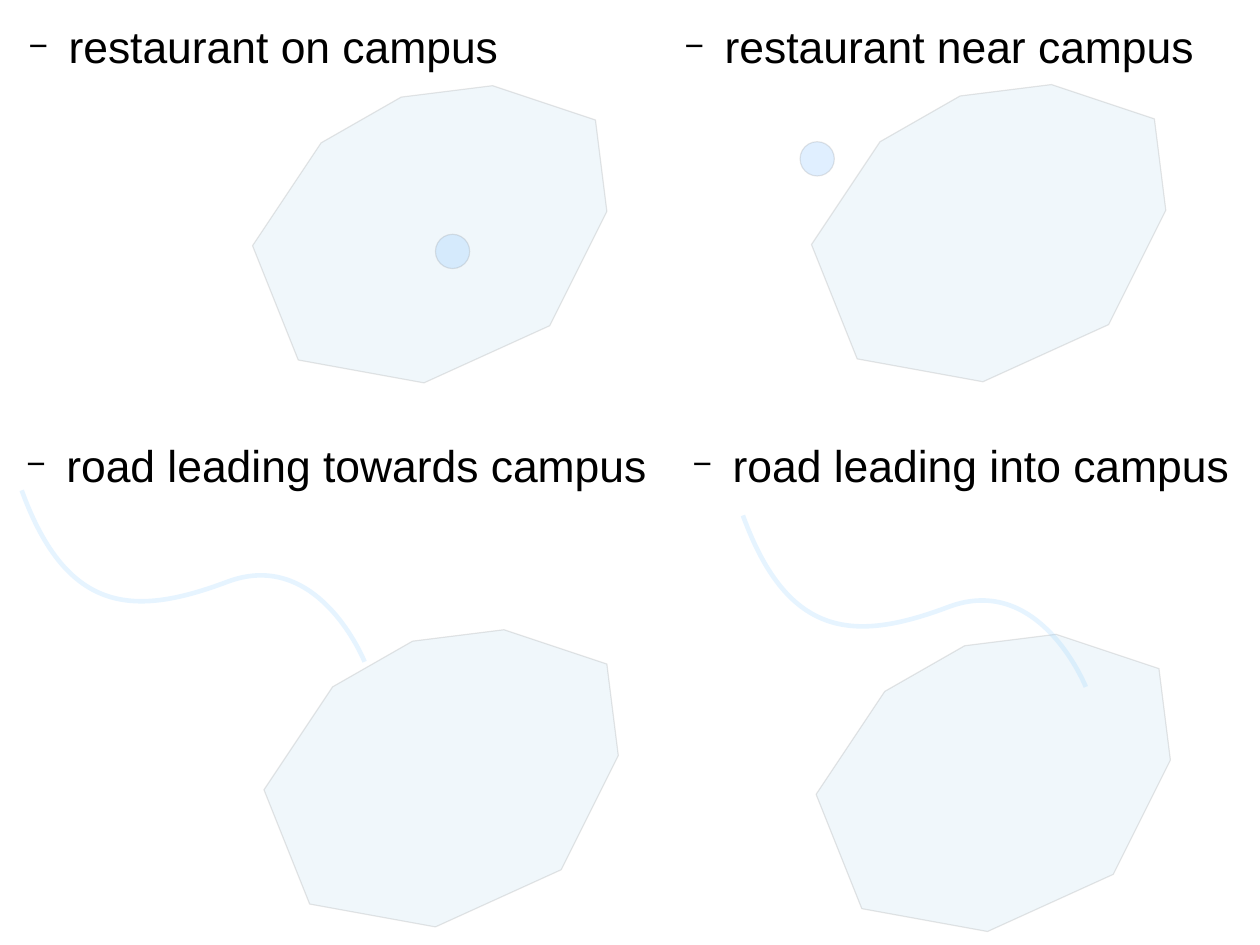
from lxml import etree
from pptx import Presentation
from pptx.dml.color import RGBColor
from pptx.enum.shapes import MSO_SHAPE
from pptx.enum.text import MSO_ANCHOR, MSO_AUTO_SIZE, PP_ALIGN
from pptx.oxml.ns import qn
from pptx.util import Cm, Inches, Pt

OVAL = MSO_SHAPE.OVAL
TOP = MSO_ANCHOR.TOP
NO_AUTOFIT = MSO_AUTO_SIZE.NONE
LEFT = PP_ALIGN.LEFT

BLACK = RGBColor(0x00, 0x00, 0x00)
GREY = RGBColor(0x80, 0x80, 0x80)
CAMPUS_BLUE = RGBColor(0xCF, 0xE7, 0xF5)
RESTAURANT_BLUE = RGBColor(0x99, 0xCC, 0xFF)
ROAD_BLUE = RGBColor(0x83, 0xCA, 0xFF)

SLIDE_WIDTH, SLIDE_HEIGHT = Cm(28), Cm(21)
# One grid column or row is a tenth of an inch.
GRID = Inches(0.1)
COMPARISON_LAYOUT = 4

CAMPUS_OUTLINE = [(13, 1), (6, 5), (0, 14), (4, 24), (15, 26),
                  (26, 21), (31, 11), (30, 3), (21, 0)]
# Start point, then two control points and an end point for each bend.
ROAD_COURSE = [(0, 0), (4, 11), (10, 11), (18, 8), (26, 5), (30, 15), (30, 15)]

CAPTIONS = [
    ("restaurant on campus", 2.5, 1.7, 56),
    ("restaurant near campus", 59.9, 1.7, 49),
    ("road leading towards campus", 2.3, 38.3, 56),
    ("road leading into campus", 60.6, 38.3, 49),
]
CAMPUSES = [(22.1, 7.5), (71, 7.4), (23.1, 55.1), (71.4, 55.5)]
RESTAURANTS = [(38.1, 20.5), (70, 12.4)]
ROADS = [(1.9, 42.9), (65, 45.1)]


def grid(count):
    return round(count * GRID)


def write_text(frame, text, size=28, font="Arial", color=BLACK, bold=False,
               bullet="−", bullet_percent=75, indent=3.5, space_after=11.3):
    """Write one bulleted paragraph with a hanging indent in grid columns."""
    paragraph = frame.paragraphs[0]
    paragraph.text = text
    properties = paragraph._p.get_or_add_pPr()
    properties.set("marL", str(grid(indent)))
    properties.set("indent", str(-grid(indent)))
    bullet_color = etree.SubElement(properties, qn("a:buClr"))
    etree.SubElement(bullet_color, qn("a:srgbClr"), val=str(color))
    etree.SubElement(properties, qn("a:buSzPct"), val=str(bullet_percent * 1000))
    etree.SubElement(properties, qn("a:buFont"), typeface=font)
    etree.SubElement(properties, qn("a:buChar"), char=bullet)
    paragraph.alignment = LEFT
    paragraph.space_before = Pt(0)
    paragraph.space_after = Pt(space_after)
    run_font = paragraph.runs[0].font
    run_font.name, run_font.size, run_font.bold = font, Pt(size), bold
    run_font.color.rgb = color


class CampusSlide:
    fill_opacity = 30
    line_opacity = 20

    def __init__(self, deck):
        layout = deck.slide_layouts[COMPARISON_LAYOUT]
        self.slide = deck.slides.add_slide(layout)
        self.shapes = self.slide.shapes
        title = self.shapes.title._element
        title.getparent().remove(title)
        self.caption_slots = iter(list(self.slide.placeholders))

    def caption(self, text, col, row, cols, rows=5.3):
        slot = next(self.caption_slots)
        slot.left, slot.top = grid(col), grid(row)
        slot.width, slot.height = grid(cols), grid(rows)
        frame = slot.text_frame
        frame.margin_left = frame.margin_right = 0
        frame.margin_top = frame.margin_bottom = 0
        frame.vertical_anchor = TOP
        frame.auto_size = NO_AUTOFIT
        frame.word_wrap = True
        write_text(frame, text)

    def campus(self, col, row):
        self.paint(self.trace(CAMPUS_OUTLINE, col, row, close=True), CAMPUS_BLUE)

    def restaurant(self, col, row, size=3):
        dot = self.shapes.add_shape(OVAL, grid(col), grid(row), grid(size), grid(size))
        self.paint(dot, RESTAURANT_BLUE)

    def road(self, col, row):
        road = self.trace(ROAD_COURSE, col, row, close=False)
        self.bend(road)
        self.paint(road, None, ROAD_BLUE, 2.89)

    def trace(self, points, col, row, close):
        builder = self.shapes.build_freeform(*points[0], scale=GRID)
        builder.add_line_segments(points[1:], close=close)
        return builder.convert_to_shape(grid(col), grid(row))

    def bend(self, shape):
        """Turn every three straight segments into one cubic curve."""
        segments = list(shape._element.iter(qn("a:lnTo")))
        outline = segments[0].getparent()
        for first in range(0, len(segments), 3):
            curve = etree.SubElement(outline, qn("a:cubicBezTo"))
            for segment in segments[first:first + 3]:
                curve.append(segment[0])
                outline.remove(segment)

    def paint(self, shape, fill, line=GREY, width=0):
        shape.shadow.inherit = False
        shape.line.color.rgb = line
        shape.line.width = Pt(width)
        properties = shape._element.spPr
        self.fade(properties.find(qn("a:ln")), self.line_opacity)
        if fill is None:
            shape.fill.background()
        else:
            shape.fill.solid()
            shape.fill.fore_color.rgb = fill
            self.fade(properties, self.fill_opacity)

    def fade(self, parent, opacity):
        color = parent.find(qn("a:solidFill")).find(qn("a:srgbClr"))
        etree.SubElement(color, qn("a:alpha"), val=str(opacity * 1000))


def main():
    deck = Presentation()
    deck.slide_width, deck.slide_height = SLIDE_WIDTH, SLIDE_HEIGHT
    page = CampusSlide(deck)
    for draw, entries in ((page.campus, CAMPUSES), (page.restaurant, RESTAURANTS),
                          (page.road, ROADS), (page.caption, CAPTIONS)):
        for entry in entries:
            draw(*entry)
    deck.save("out.pptx")


if __name__ == "__main__":
    main()
